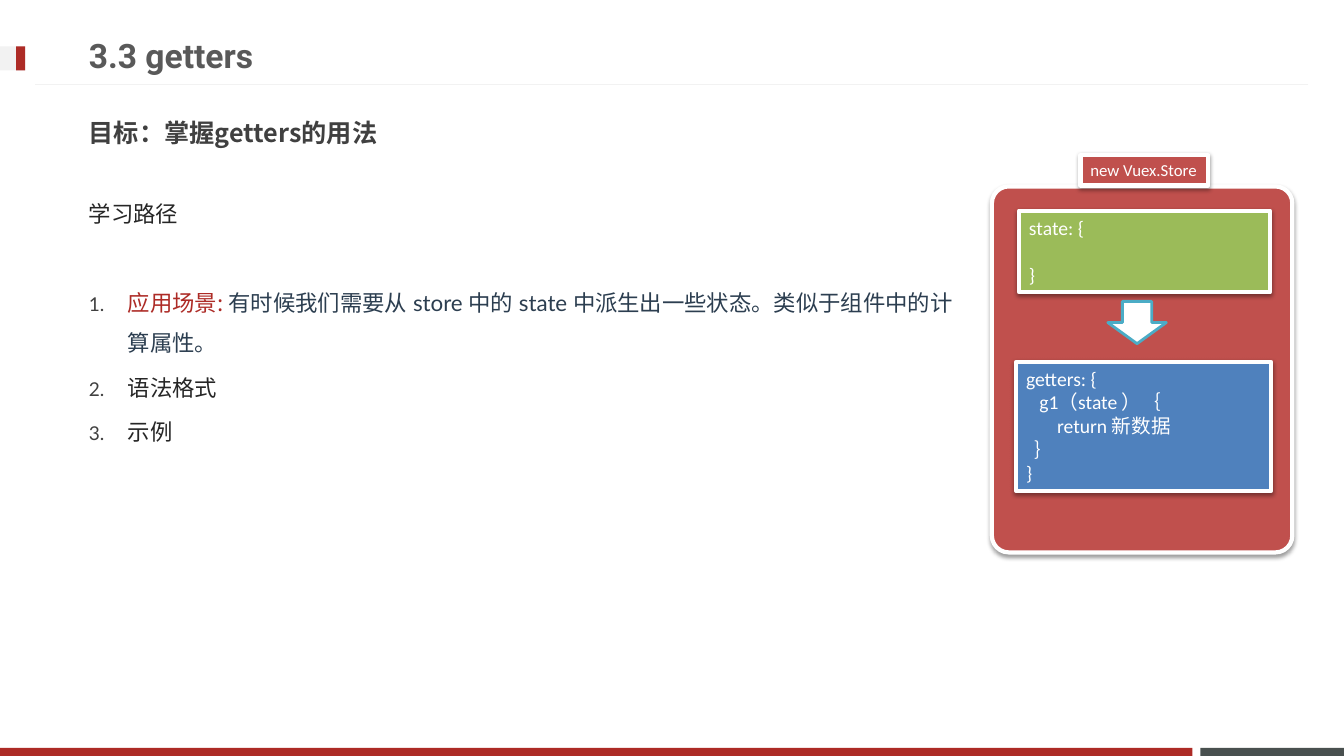
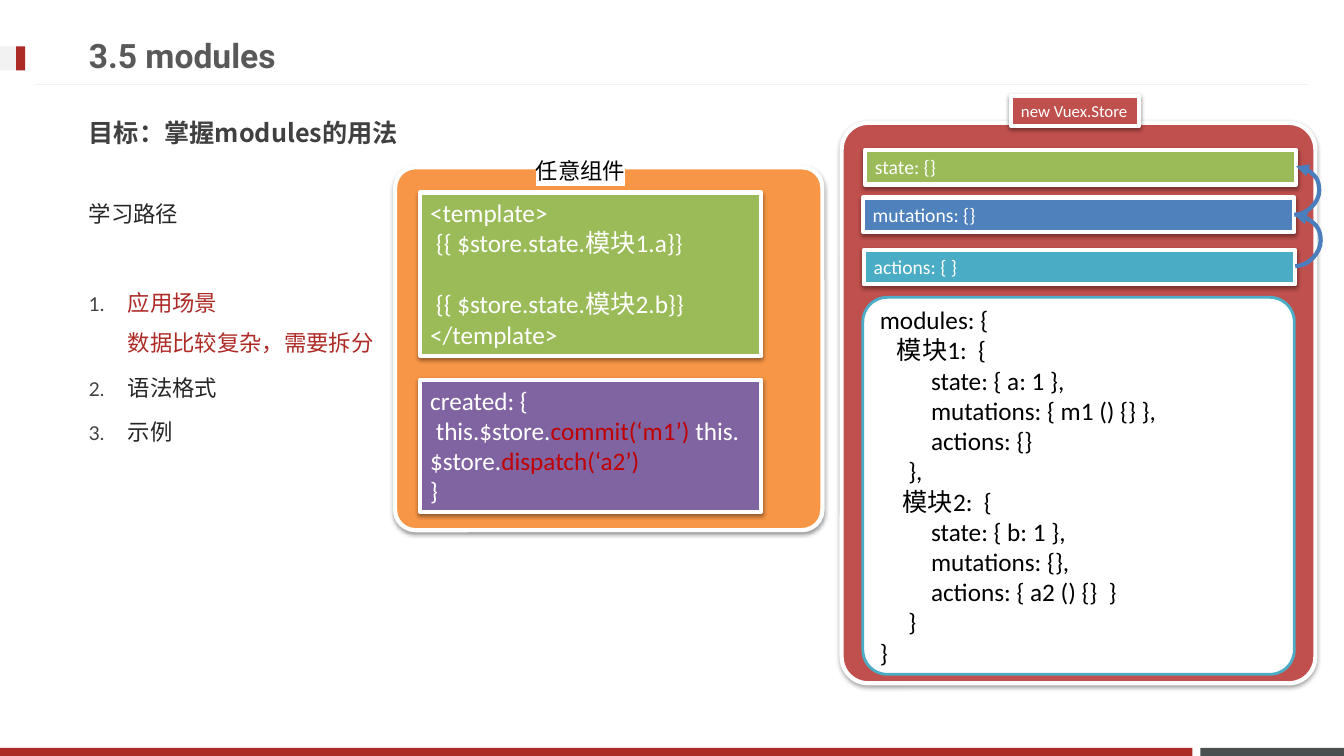
from copy import deepcopy
from dataclasses import dataclass

from lxml import etree
from pptx import Presentation
from pptx.dml.color import RGBColor
from pptx.enum.shapes import MSO_CONNECTOR, MSO_SHAPE
from pptx.enum.text import MSO_ANCHOR, MSO_AUTO_SIZE, PP_ALIGN
from pptx.oxml.ns import qn
from pptx.util import Pt

RECTANGLE = MSO_SHAPE.RECTANGLE
ROUNDED = MSO_SHAPE.ROUNDED_RECTANGLE
DOWN_ARROW = MSO_SHAPE.DOWN_ARROW
STRAIGHT, CURVE = MSO_CONNECTOR.STRAIGHT, MSO_CONNECTOR.CURVE
TOP, MIDDLE = MSO_ANCHOR.TOP, MSO_ANCHOR.MIDDLE
LEFT = PP_ALIGN.LEFT
NO_AUTOFIT = MSO_AUTO_SIZE.NONE


@dataclass(frozen=True)
class Theme:
    white: str = "FFFFFF"
    black: str = "000000"
    brand: str = "AD2B26"
    slate: str = "49504F"
    pale: str = "F2F2F2"
    title: str = "595959"
    goal: str = "404040"
    body: str = "262626"
    navy: str = "2C3E50"
    red: str = "C0504D"
    green: str = "9BBB59"
    blue: str = "4F81BD"
    teal: str = "4BACC6"
    orange: str = "F79646"
    purple: str = "8064A2"
    call: str = "C00000"
    link: str = "4B7EBC"
    title_font: str = "Roboto"
    text_font: str = "Noto Sans CJK JP"
    list_font: str = "Lato"
    code_font: str = "Calibri"
    title_size: int = 24
    goal_size: int = 18
    list_size: int = 16
    large_code: int = 18
    code: int = 14
    tag: int = 12


THEME = Theme()
LINE_HEIGHT = 1.22
LIST_INDENT = 28
TITLE_AREA = (56.2, 18.7, 690.5, 41)
GOAL_AREA = (56.2, 74.2, 843.8, 41)
LIST_AREA = (56.2, 129.6, 843.8, 331.9)


def points(values):
    return [Pt(value) for value in values]


def place(shape, area):
    shape.left, shape.top, shape.width, shape.height = points(area)


def add_child(parent, tag, **attributes):
    child = etree.SubElement(parent, qn(tag))
    for name, value in attributes.items():
        child.set(name, str(value))
    return child


# Text
def style_run(run, size, color, font, asian_font=None, bold=False):
    run.font.size = Pt(size)
    run.font.bold = bold
    run.font.color.rgb = RGBColor.from_string(color)
    run.font.name = font
    asian = etree.Element(qn("a:ea"), typeface=asian_font or font)
    run.font._element.find(qn("a:latin")).addnext(asian)


def write_spans(para, spans, size, asian_font=None):
    """Each span is (text, color, font); a newline makes a line break."""
    for text, color, font in spans:
        for number, part in enumerate(text.split("\n")):
            if number:
                para.add_line_break()
            run = para.add_run()
            run.text = part
            style_run(run, size, color, font, asian_font)
    properties = para.runs[-1].font._element
    for line_break in para._p.findall(qn("a:br")):
        line_break.insert(0, deepcopy(properties))


def set_bullet(para, numbered):
    properties = para._p.get_or_add_pPr()
    indent = Pt(LIST_INDENT) if numbered else 0
    properties.set("marL", str(indent))
    properties.set("indent", str(-indent))
    if numbered:
        color = add_child(properties, "a:buClr")
        add_child(color, "a:srgbClr", val=THEME.goal)
        add_child(properties, "a:buSzPct", val=85000)
        add_child(properties, "a:buFont", typeface=THEME.list_font)
        add_child(properties, "a:buAutoNum", type="arabicPeriod")
    else:
        add_child(properties, "a:buNone")


def write_code(shape, lines, size, color, anchor=TOP):
    """A line is a string or (text, color) pairs; "" leaves one line of space."""
    frame = shape.text_frame
    frame.word_wrap = True
    frame.auto_size = NO_AUTOFIT
    frame.vertical_anchor = anchor
    para, gap = frame.paragraphs[0], 0
    for number, line in enumerate(lines):
        if not line:
            gap = size * LINE_HEIGHT
            continue
        if number:
            para = frame.add_paragraph()
        para.alignment = LEFT
        para.space_before, gap = Pt(gap), 0
        pairs = [(line, color)] if isinstance(line, str) else line
        spans = [(text, shade, THEME.code_font) for text, shade in pairs]
        write_spans(para, spans, size)


# Shapes
def add_box(page, kind, area, fill, line=None, line_width=3, corner=None):
    box = page.shapes.add_shape(kind, *points(area))
    box.shadow.inherit = False
    box.fill.solid()
    box.fill.fore_color.rgb = RGBColor.from_string(fill)
    if line:
        box.line.color.rgb = RGBColor.from_string(line)
        box.line.width = Pt(line_width)
    else:
        box.line.fill.background()
    if corner:
        box.adjustments[0] = corner
    return box


def add_card(page, area, fill, lines=(), size=THEME.code, corner=None):
    """White-edged block with a soft shadow below it."""
    card = add_box(page, ROUNDED if corner else RECTANGLE, area, fill, THEME.white, corner=corner)
    effects = card.element.spPr.find(qn("a:effectLst"))
    shadow = add_child(effects, "a:outerShdw", blurRad=Pt(3.1), dist=Pt(1.6),
                       dir=5400000, rotWithShape=0)
    color = add_child(shadow, "a:srgbClr", val=THEME.black)
    add_child(color, "a:alpha", val=38000)
    if lines:
        write_code(card, lines, size, THEME.white)


def add_panel(page, area, fill):
    add_card(page, area, fill, corner=0.056)


def add_store_tag(page, left, top):
    add_card(page, (left, top, 91.4, 21.6), THEME.red, ["new Vuex.Store"], THEME.tag)


def add_line(page, kind, start, end, color, width):
    line = page.shapes.add_connector(kind, *points(start + end))
    line.line.color.rgb = RGBColor.from_string(color)
    line.line.width = Pt(width)
    add_child(line.element.spPr, "a:effectLst")
    return line


def add_return_arrow(page, start, end, bulge=18):
    arrow = add_line(page, CURVE, start, end, THEME.link, 3)
    add_child(arrow.line._get_or_add_ln(), "a:tailEnd", type="triangle")
    bend = round(bulge / (end[0] - start[0]) * 100000)
    guides = arrow.element.spPr.find(qn("a:prstGeom")).get_or_add_avLst()
    add_child(guides, "a:gd", name="adj1", fmla=f"val {bend}")


# Shared frame and page
def add_frame(layout, page):
    """Draw the bands, then move them to the layout behind its placeholders."""
    bands = [
        add_box(page, RECTANGLE, (857.5, 534.2, 102.5, 5.8), THEME.slate),
        add_box(page, RECTANGLE, (0, 534.2, 851.8, 5.8), THEME.brand),
        add_line(page, STRAIGHT, (934.6, 60.5), (25.2, 60.5), THEME.pale, 0.75),
        add_box(page, RECTANGLE, (0, 33.1, 18, 17.3), THEME.pale),
        add_box(page, RECTANGLE, (11.5, 33.1, 6.5, 17.3), THEME.brand),
    ]
    for position, band in enumerate(bands, start=2):
        layout.shapes.element.insert(position, band.element)


def fill_heading(holder, text, size, color, font):
    frame = holder.text_frame
    frame.text = text
    frame.vertical_anchor = MIDDLE
    frame.auto_size = NO_AUTOFIT
    para = frame.paragraphs[0]
    para.alignment = LEFT
    para.space_before = Pt(0)
    set_bullet(para, False)
    style_run(para.runs[0], size, color, font, THEME.text_font, True)


def fill_path(holder, first_item):
    frame = holder.text_frame
    frame.auto_size = NO_AUTOFIT
    frame.vertical_anchor = TOP
    plain = [[(text, THEME.body, THEME.text_font)] for text in ("学习路径", "语法格式", "示例")]
    rows = [plain[0], first_item, *plain[1:]]
    for number, (spans, gap) in enumerate(zip(rows, (0, 35, 3, 3))):
        para = frame.add_paragraph() if number else frame.paragraphs[0]
        para.line_spacing = 1.5
        para.space_before = Pt(gap)
        set_bullet(para, number > 0)
        write_spans(para, spans, THEME.list_size, THEME.list_font)


def add_page(deck, layout, title, goal, first_item):
    page = deck.slides.add_slide(layout)
    heading, path_list, goal_line = page.placeholders
    fill_heading(heading, title, THEME.title_size, THEME.title, THEME.title_font)
    fill_heading(goal_line, goal, THEME.goal_size, THEME.goal, THEME.text_font)
    fill_path(path_list, first_item)
    return page


def build_getters(deck, layout):
    page = add_page(deck, layout, "3.3 getters", "目标：掌握getters的用法", [
        ("应用场景: ", THEME.brand, THEME.text_font),
        ("有时候我们需要从 store 中的 state 中派生出一些状态。类似于组件中的计\n算属性。",
         THEME.navy, THEME.list_font)])
    add_panel(page, (708.5, 133.2, 214.6, 261.4), THEME.red)
    add_card(page, (727.9, 150.5, 179.3, 58.3), THEME.green, ["state: {", "", "}"])
    add_card(page, (725.8, 258.5, 182.2, 92.2), THEME.blue, [
        "getters: {", "   g1（state ）｛", "       return 新数据", "  ｝", "}"])
    add_store_tag(page, 771.8, 110.9)
    add_box(page, DOWN_ARROW, (791.3, 215.3, 41.8, 30.2), THEME.white, THEME.teal, 2)
    return page


def build_modules(deck, layout):
    page = add_page(deck, layout, "3.5 modules", "目标：掌握modules的用法", [
        ("应用场景\n数据比较复杂，需要拆分", THEME.brand, THEME.text_font)])
    place(page.placeholders[1], (*LIST_AREA[:2], 281.5, LIST_AREA[3]))

    # Store
    add_panel(page, (601.2, 87.8, 338.4, 400.3), THEME.red)
    for left, top, fill, text in (
            (617.8, 107.3, THEME.green, "state: {}"),
            (616.3, 141.1, THEME.blue, "mutations: {}"),
            (617, 178.6, THEME.teal, "actions: { }")):
        add_card(page, (left, top, 308.2, 24.5), fill, [text])
    add_store_tag(page, 722.2, 68.4)
    mutations_end = (924.5, 153.4)
    add_return_arrow(page, (925.2, 190.1), mutations_end)
    add_return_arrow(page, mutations_end, (925.9, 118.8))
    modules = add_box(page, ROUNDED, (616.3, 212.4, 308.2, 269.3), THEME.white,
                      THEME.teal, 2, 0.065)
    write_code(modules, [
        "modules: {",
        "   模块1:  {",
        "         state: { a: 1 },",
        "         mutations: { m1 () {} },",
        "         actions: {}",
        "     },",
        "    模块2:  {",
        "         state: { b: 1 },",
        "         mutations: {},",
        "         actions: { a2 () {}  }",
        "     }",
        "}"], THEME.large_code, THEME.black, MIDDLE)

    # Component
    add_panel(page, (282.2, 119.5, 305.3, 259.2), THEME.orange)
    label = page.shapes.add_textbox(*points((375.8, 108.7, 91.4, 26.6)))
    write_code(label, ["任意组件"], THEME.list_size, THEME.black)
    properties = label.text_frame.paragraphs[0].runs[0].font._element
    highlight = etree.Element(qn("a:highlight"))
    add_child(highlight, "a:srgbClr", val=THEME.white)
    properties.find(qn("a:solidFill")).addnext(highlight)
    add_card(page, (300.2, 271.4, 243.4, 94.3), THEME.purple, [
        "created: {",
        [(" this.$store.", THEME.white), ("commit(‘m1’)", THEME.call),
         (" this.$store.", THEME.white), ("dispatch(‘a2’)", THEME.call)],
        "}"], THEME.large_code)
    add_card(page, (300.2, 137.5, 243.4, 116.6), THEME.green, [
        "<template>", " {{ $store.state.模块1.a}}", "",
        " {{ $store.state.模块2.b}}", "</template>"], THEME.large_code)


def main():
    deck = Presentation()
    deck.slide_width, deck.slide_height = Pt(960), Pt(540)
    layout = deck.slide_layouts.get_by_name("Two Content")
    for holder, area in zip(layout.placeholders, (TITLE_AREA, LIST_AREA, GOAL_AREA)):
        place(holder, area)
    first_page = build_getters(deck, layout)
    add_frame(layout, first_page)
    build_modules(deck, layout)
    deck.save("out.pptx")


if __name__ == "__main__":
    main()
